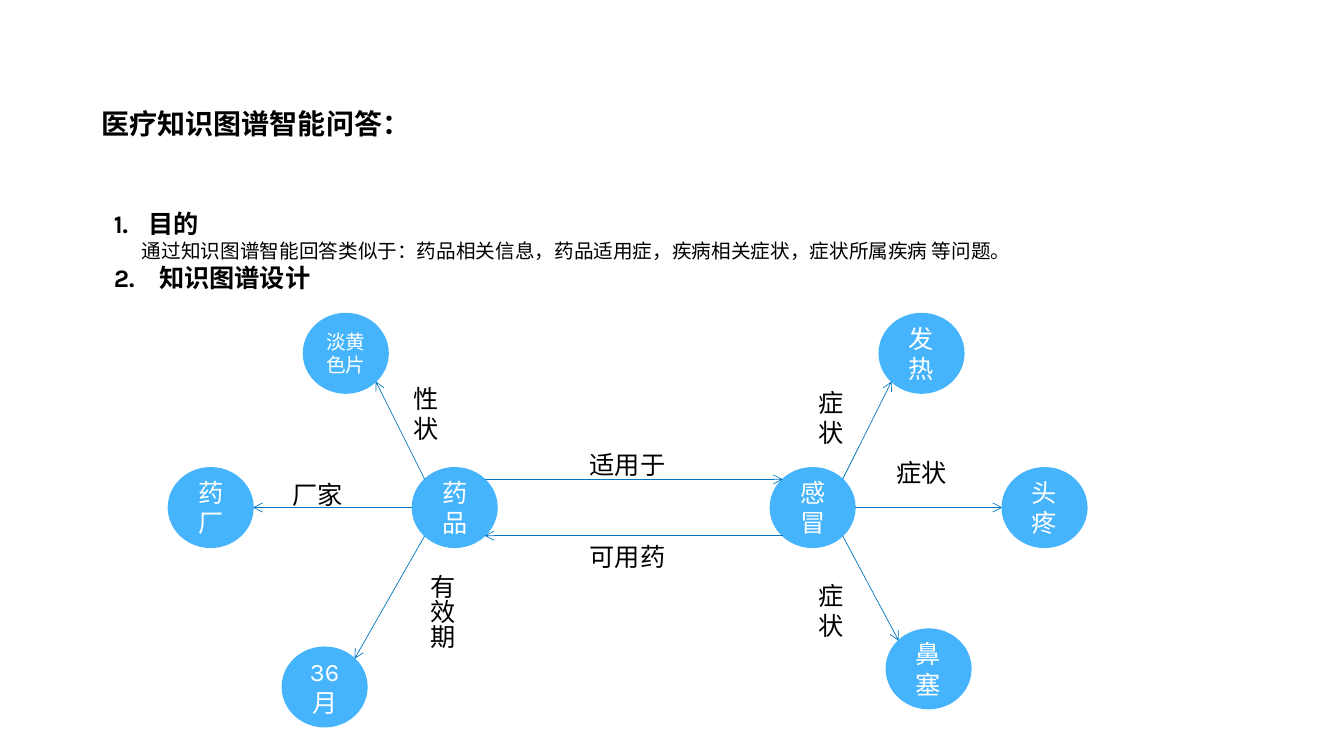
from math import cos, radians, sin

from lxml import etree
from pptx import Presentation
from pptx import util as u
from pptx.dml.color import RGBColor
from pptx.enum import shapes, text
from pptx.oxml.ns import qn

COLORS = {"node": "46B4FC", "arrow": "0376C2", "ink": "000000", "node_text": "FFFFFF"}
FONT = "Karla"
NODE_W, NODE_H = 0.84, 0.79


def write(para, words, size=18, color="ink", bold=False):
    span = para.add_run()
    span.text = words
    span.font.name = FONT
    span.font.size = u.Pt(size)
    span.font.bold = bold
    span.font.color.rgb = RGBColor.from_string(COLORS[color])


def rim_point(name, angle):
    """Point on a node's rim; angle in degrees, clockwise from the right."""
    left, top = nodes[name][:2]
    x = left + NODE_W / 2 * (1 + cos(radians(angle)))
    y = top + NODE_H / 2 * (1 + sin(radians(angle)))
    return u.Inches(x), u.Inches(y)


deck = Presentation()
deck.slide_width, deck.slide_height = u.Inches(13.33), u.Inches(7.5)
page = deck.slides.add_slide(deck.slide_layouts[6])

# Title
box = page.shapes.add_textbox(*map(u.Inches, (0.91, 1.01, 3.26, 0.44)))
box.text_frame.word_wrap = False
write(box.text_frame.paragraphs[0], "医疗知识图谱智能问答：", size=20, bold=True)

# Numbered outline: words, size, bold, left margin, first-line indent
outline = [
    ("1.\t目的", 18, True, 0.34, -0.34),
    ("通过知识图谱智能回答类似于：药品相关信息，药品适用症，疾病相关症状，症状所属疾病 等问题。",
     14, False, 0.28, 0),
    ("2.\t知识图谱设计", 18, True, 0.45, -0.45),
]
box = page.shapes.add_textbox(*map(u.Inches, (1.03, 2.02, 10.91, 5.18)))
box.text_frame.word_wrap = True
for i, (words, size, bold, margin, indent) in enumerate(outline):
    para = box.text_frame.paragraphs[0] if i == 0 else box.text_frame.add_paragraph()
    write(para, words, size=size, bold=bold)
    props = para._p.get_or_add_pPr()
    props.set("marL", str(u.Inches(margin)))
    props.set("indent", str(u.Inches(indent)))

# Graph nodes: left, top, text size
nodes = {
    "药品": (4.09, 4.64, 18),
    "感冒": (7.64, 4.64, 18),
    "淡黄色片": (3.01, 3.11, 14),
    "药厂": (1.67, 4.64, 18),
    "36月": (2.8, 6.42, 18),
    "发热": (8.72, 3.11, 18),
    "头疼": (9.94, 4.64, 18),
    "鼻塞": (8.79, 6.24, 18),
}
for name, (left, top, size) in nodes.items():
    node = page.shapes.add_shape(
        shapes.MSO_SHAPE.OVAL, *map(u.Inches, (left, top, NODE_W, NODE_H)))
    node.shadow.inherit = False
    node.fill.solid()
    node.fill.fore_color.rgb = RGBColor.from_string(COLORS["node"])
    node.line.color.rgb = RGBColor.from_string(COLORS["node"])
    node.line.width = u.Pt(1)
    node.text_frame.word_wrap = True
    node.text_frame.vertical_anchor = text.MSO_ANCHOR.MIDDLE
    para = node.text_frame.paragraphs[0]
    para.alignment = text.PP_ALIGN.CENTER
    write(para, name, size=size, color="node_text")

# Relations: source node, rim angle, target node, rim angle
relations = [
    ("药品", -45, "感冒", -135),
    ("感冒", 135, "药品", 45),
    ("药品", -135, "淡黄色片", 45),
    ("药品", 180, "药厂", 0),
    ("药品", 135, "36月", -45),
    ("感冒", -45, "发热", 135),
    ("感冒", 0, "头疼", 180),
    ("感冒", 45, "鼻塞", -135),
]
for source, source_angle, target, target_angle in relations:
    arrow = page.shapes.add_connector(
        shapes.MSO_CONNECTOR.STRAIGHT,
        *rim_point(source, source_angle), *rim_point(target, target_angle))
    arrow.line.color.rgb = RGBColor.from_string(COLORS["arrow"])
    arrow.line.width = u.Pt(0.5)
    etree.SubElement(arrow.line._get_or_add_ln(), qn("a:tailEnd"), type="arrow")
    etree.SubElement(arrow._element.spPr, qn("a:effectLst"))

# Relation labels: words, left, top, width, height, text direction
labels = [
    ("适用于", 5.75, 4.41, 1.08, 0.4, "horz"),
    ("可用药", 5.75, 5.32, 1.08, 0.4, "horz"),
    ("性状", 4, 3.75, 0.46, 0.71, "horz"),
    ("厂家", 2.8, 4.71, 1.03, 0.4, "horz"),
    ("有效期", 4.09, 5.6, 0.5, 1.15, "eaVert"),
    ("症状", 8.02, 3.79, 0.46, 0.71, "horz"),
    ("症状", 8.02, 5.71, 0.46, 0.71, "horz"),
    ("症状", 8.79, 4.49, 1.03, 0.4, "horz"),
]
for words, left, top, width, height, direction in labels:
    box = page.shapes.add_textbox(*map(u.Inches, (left, top, width, height)))
    box.text_frame.word_wrap = True
    box.text_frame._txBody.bodyPr.set("vert", direction)
    write(box.text_frame.paragraphs[0], words)

deck.save("out.pptx")
